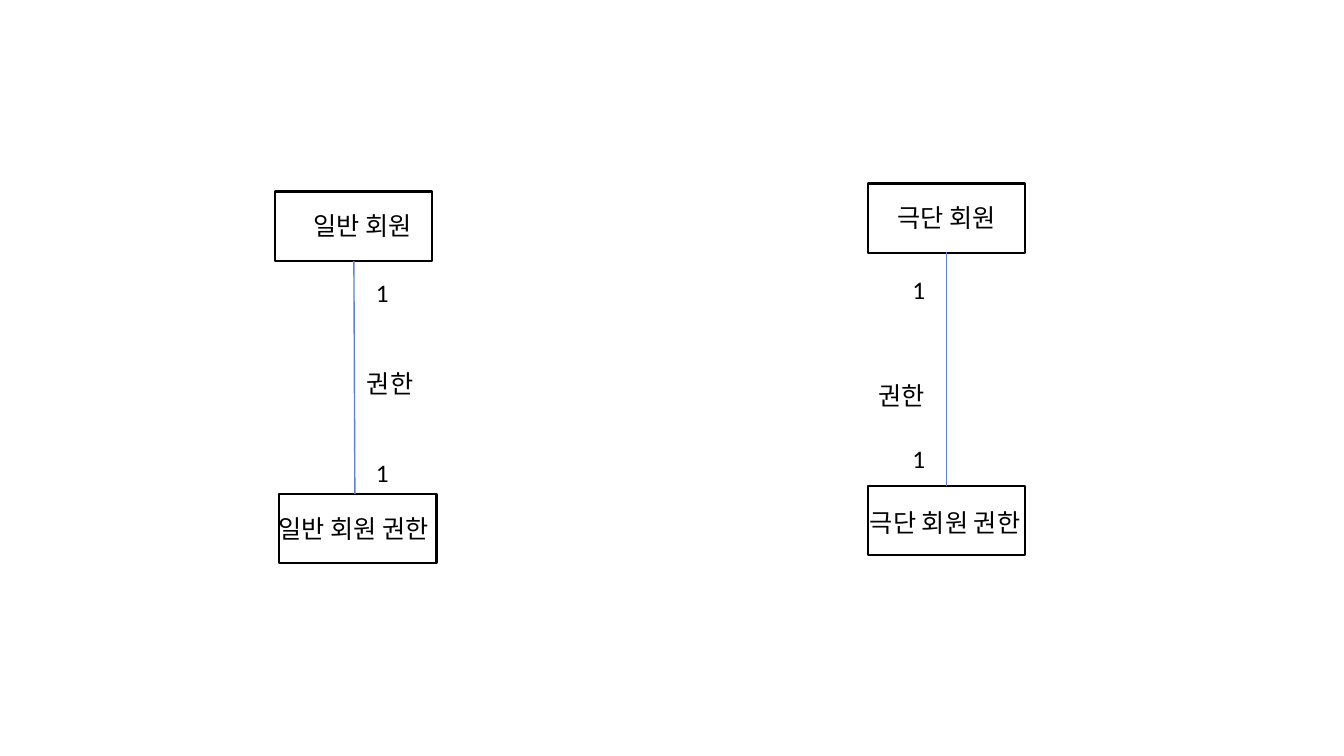
from lxml import etree
from pptx import Presentation
from pptx.dml.color import RGBColor
from pptx.enum.shapes import MSO_CONNECTOR, MSO_SHAPE
from pptx.enum.text import MSO_AUTO_SIZE
from pptx.oxml.ns import qn
from pptx.util import Inches, Pt


def color(hex_code):
    return RGBColor.from_string(hex_code)


entities = [(2.73, 1.9), (2.77, 4.9), (8.61, 1.82), (8.61, 4.82)]
associations = [(3.51, 2.59, 3.52, 4.9), (9.39, 2.5, 9.39, 4.82)]
labels = [
    ("일반 회원", 3.01, 2.04, 1.63),
    ("일반 회원 권한", 2.66, 5.04, 2.34),
    ("극단 회원", 8.8, 1.96, 1.63),
    ("극단 회원 권한", 8.53, 4.98, 2.34),
    ("1", 3.63, 2.7, 0.66),
    ("권한", 3.54, 3.6, 0.85),
    ("1", 3.63, 4.49, 0.66),
    ("1", 8.95, 2.67, 0.66),
    ("권한", 8.61, 3.72, 0.85),
    ("1", 8.95, 4.35, 0.66),
]

deck = Presentation()
deck.slide_width, deck.slide_height = Inches(13.33), Inches(7.5)
slide = deck.slides.add_slide(deck.slide_layouts[6])

for left, top in entities:
    entity = slide.shapes.add_shape(
        MSO_SHAPE.RECTANGLE, Inches(left), Inches(top), Inches(1.56), Inches(0.69))
    entity.shadow.inherit = False
    entity.fill.background()
    entity.line.color.rgb = color("000000")
    entity.line.width = Pt(1.5)

for ends in associations:
    association = slide.shapes.add_connector(
        MSO_CONNECTOR.STRAIGHT, *[Inches(value) for value in ends])
    association.line.color.rgb = color("5E80D8")
    association.line.width = Pt(1)
    etree.SubElement(association._element.spPr, qn("a:effectLst"))

for wording, left, top, width in labels:
    label = slide.shapes.add_textbox(
        Inches(left), Inches(top), Inches(width), Inches(0.4))
    frame = label.text_frame
    frame.word_wrap = True
    frame.auto_size = MSO_AUTO_SIZE.SHAPE_TO_FIT_TEXT
    run = frame.paragraphs[0].add_run()
    run.text = wording
    run.font.name = "Calibri"
    run.font.size = Pt(18)
    run.font.color.rgb = color("000000")

deck.save("out.pptx")
